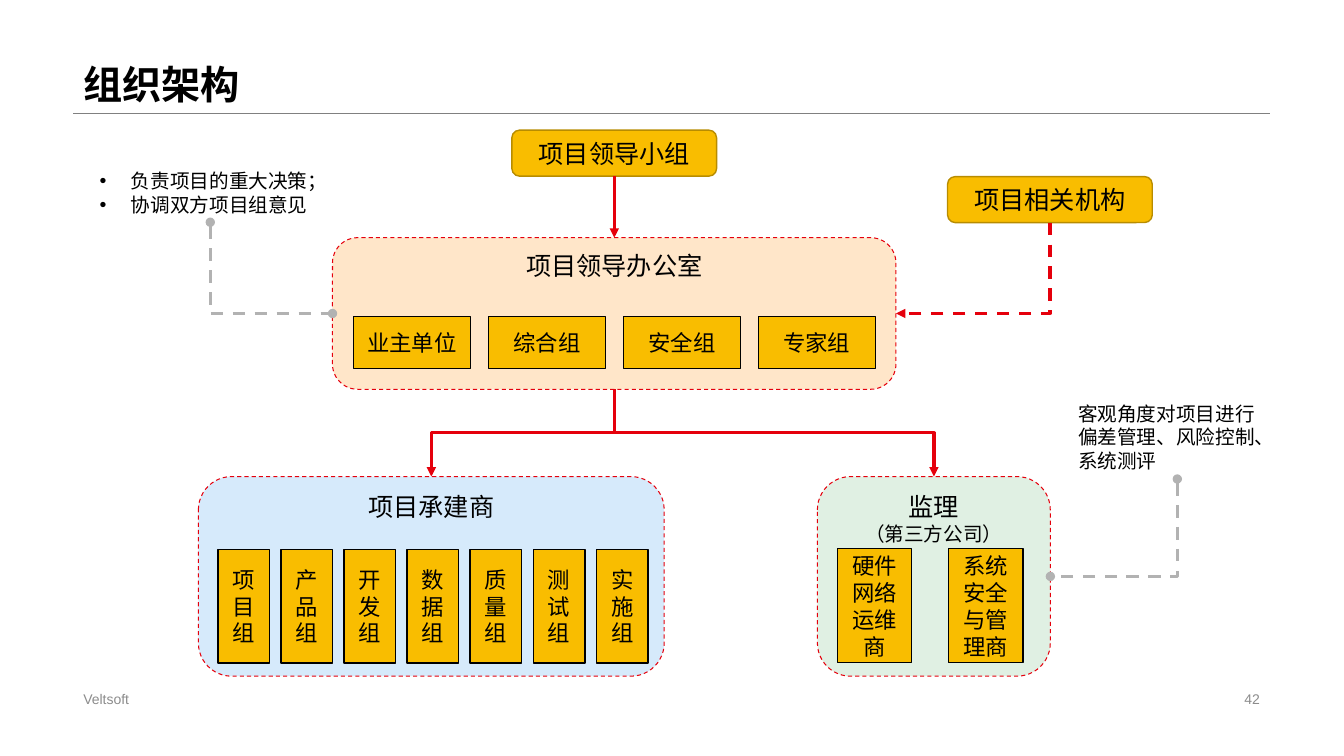
from pptx import Presentation
from pptx import util as u
from pptx.dml.color import RGBColor
from pptx.enum import dml, shapes, text
from pptx.oxml.ns import qn
from lxml import etree

Cm, Pt = u.Cm, u.Pt
RED, GREY, GOLD, BLACK = "E5000C", "B2B2B2", "F9BD00", "000000"
SHAPE, LINK = shapes.MSO_SHAPE, shapes.MSO_CONNECTOR
ALIGN, ANCHOR = text.PP_ALIGN, text.MSO_ANCHOR


def rgb(code):
    return RGBColor.from_string(code)


def style(frame, sizes, color=BLACK, align=ALIGN.LEFT, anchor=ANCHOR.TOP):
    """Format each paragraph; the last size serves all that remain."""
    frame.vertical_anchor = anchor
    for i, para in enumerate(frame.paragraphs):
        para.alignment = align
        for run in para.runs:
            run.font.name = "Arial"
            run.font.size = Pt(sizes[min(i, len(sizes) - 1)])
            run.font.color.rgb = rgb(color)


def stroke(line, color, width, dash=False):
    line.color.rgb = rgb(color)
    line.width = Pt(width)
    if dash:
        line.dash_style = dml.MSO_LINE.DASH


def block(slide, kind, box, words, fill, edge, sizes, anchor=ANCHOR.MIDDLE):
    """Add a filled shape; edge holds colour, width and dash."""
    shape = slide.shapes.add_shape(kind, *map(Cm, box))
    shape.shadow.inherit = False
    shape.fill.solid()
    shape.fill.fore_color.rgb = rgb(fill)
    stroke(shape.line, *edge)
    shape.text_frame.text = words
    style(shape.text_frame, sizes, align=ALIGN.CENTER, anchor=anchor)
    return shape


def link(slide, kind, ends, color, width, dash=False, head=None, tail=None):
    wire = slide.shapes.add_connector(kind, *map(Cm, ends))
    stroke(wire.line, color, width, dash)
    props = wire.element.spPr
    line = props.find(qn("a:ln"))
    for tag, mark in (("a:headEnd", head), ("a:tailEnd", tail)):
        if mark:
            etree.SubElement(line, qn(tag), type=mark)
    etree.SubElement(props, qn("a:effectLst"))
    return wire


def bend(slide, start, end, color, turns=1, **marks):
    """Add an elbow that leaves start downwards, with one or two turns."""
    (x1, y1), (x2, y2) = start, end
    midx, midy = (x1 + x2) / 2, (y1 + y2) / 2
    dx, dy = abs(x2 - x1) / 2, (y2 - y1) / 2
    # The elbow is laid flat about its centre, then turned upright.
    ends = (midx - dy, midy - dx, midx + dy, midy + dx)
    wire = link(slide, LINK.ELBOW, ends, color, 2.25, **marks)
    props = wire.element.spPr
    frame = props.find(qn("a:xfrm"))
    frame.set("rot", str((270 if x2 > x1 else 90) * 60000))
    if x2 > x1:
        frame.set("flipH", "1")
    props.find(qn("a:prstGeom")).set("prst", f"bentConnector{turns + 1}")


def panel(slide, box, words, fill, names, inset, size, pitch):
    """Add a dashed panel with a row of equal cells inside it."""
    left, top = box[:2]
    base = block(slide, SHAPE.ROUNDED_RECTANGLE, box, words, fill,
                 (RED, 0.75, True), [18, 14], ANCHOR.TOP)
    for i, name in enumerate(names):
        cell = (left + inset[0] + i * pitch, top + inset[1], *size)
        block(slide, SHAPE.RECTANGLE, cell, name, GOLD, (BLACK, 1), [16])
    return base


def label(slide, box, words):
    return block(slide, SHAPE.ROUNDED_RECTANGLE, box, words, GOLD,
                 ("B88C00", 1), [18])


def note(slide, box, words, size=14, wrap=True, **look):
    frame = slide.shapes.add_textbox(*map(Cm, box)).text_frame
    frame.word_wrap = wrap
    frame.text = words
    style(frame, [size], **look)
    return frame


def bullets(frame):
    for para in frame.paragraphs:
        props = para._p.get_or_add_pPr()
        props.set("marL", str(Cm(0.79)))
        props.set("indent", str(-Cm(0.79)))
        etree.SubElement(props, qn("a:buFont"), typeface="Arial")
        etree.SubElement(props, qn("a:buChar"), char="•")


def header(slide, box):
    left, top, width, height = box
    title = slide.shapes.title
    title.left, title.top, title.width, title.height = map(Cm, box)
    frame = title.text_frame
    frame.text = "组织架构"
    frame.auto_size = text.MSO_AUTO_SIZE.NONE
    style(frame, [28], anchor=ANCHOR.BOTTOM)
    frame.paragraphs[0].line_spacing = 0.9
    frame.paragraphs[0].runs[0].font.bold = True
    foot = top + height
    link(slide, LINK.STRAIGHT, (left, foot, left + width, foot), "808080", 0.25)


def footer(slide, box):
    left, top, width, height = box
    look = dict(size=10, color="8C8C8C", anchor=ANCHOR.MIDDLE)
    half = width / 2
    note(slide, (left, top, half, height), "Veltsoft", **look)
    note(slide, (left + half, top, half, height), "42", align=ALIGN.RIGHT, **look)


def base(box):
    left, top, width, height = box
    return left + width / 2, top + height


def chart(slide):
    lead = (12.9, 3.28, 5.16, 1.16)
    agency = (23.88, 4.45, 5.16, 1.16)
    office = (8.38, 5.99, 14.2, 3.82)
    builder = (5, 12.01, 11.74, 5.03)
    monitor = (20.6, 12.01, 5.87, 5.03)

    panel(slide, monitor, "监理\n（第三方公司）", "E0F0E3",
          ["硬件网络运维商", "系统安全与管理商"], (0.5, 1.82), (1.88, 2.87), 2.8)
    panel(slide, builder, "项目承建商", "D6EAFB",
          ["项目组", "产品组", "开发组", "数据组", "质量组", "测试组", "实施组"],
          (0.49, 1.83), (1.3, 2.87), 1.59)
    hub = panel(slide, office, "项目领导办公室", "FFE6C9",
                ["业主单位", "综合组", "安全组", "专家组"],
                (0.53, 1.99), (2.95, 1.3), 3.4)
    top = label(slide, lead, "项目领导小组")
    label(slide, agency, "项目相关机构")

    wire = link(slide, LINK.STRAIGHT, (*base(lead), base(lead)[0], office[1]),
                RED, 2.25, tail="triangle")
    wire.begin_connect(top, 2)
    wire.end_connect(hub, 0)
    for box in (builder, monitor):
        bend(slide, base(office), (base(box)[0], box[1]), RED, 2, tail="triangle")

    level = office[1] + office[3] / 2
    right = office[0] + office[2]
    bend(slide, base(agency), (right, level), RED, dash=True, tail="triangle")

    dots = dict(dash=True, head="oval", tail="oval")
    bullets(note(slide, (2.26, 4.14, 6.05, 1.45),
                 "负责项目的重大决策；\n协调双方项目组意见"))
    bend(slide, (5.3, 5.6), (office[0], level), GREY, **dots)
    note(slide, (26.92, 10, 5.51, 2.06),
         "客观角度对项目进行\n偏差管理、风险控制、\n系统测评", wrap=False)
    side = (monitor[0] + monitor[2], monitor[1] + monitor[3] / 2)
    bend(slide, (29.67, 12.07), side, GREY, **dots)


def main():
    deck = Presentation()
    deck.slide_width, deck.slide_height = Cm(33.87), Cm(19.05)
    slide = deck.slides.add_slide(deck.slide_layouts[5])
    header(slide, (1.85, 0, 30.15, 2.85))
    chart(slide)
    footer(slide, (1.85, 17.32, 30.15, 0.58))
    deck.save("out.pptx")


if __name__ == "__main__":
    main()
